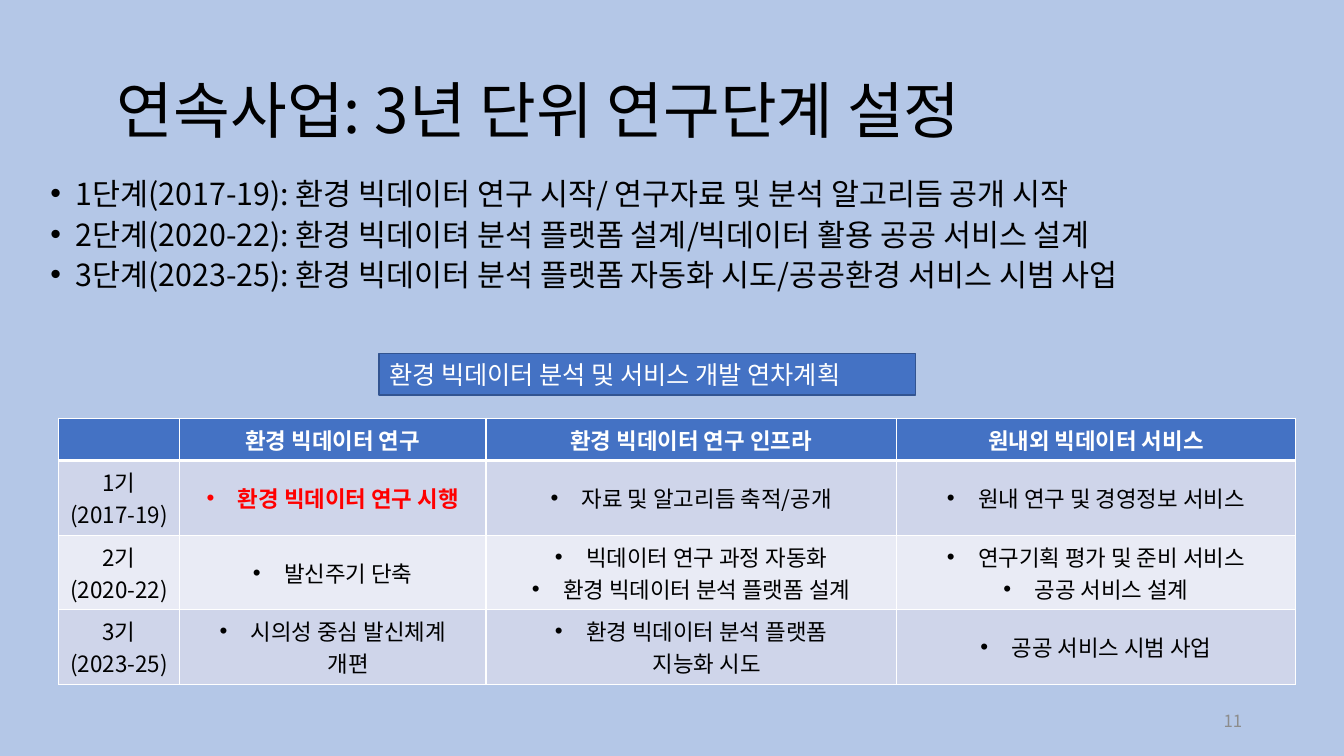
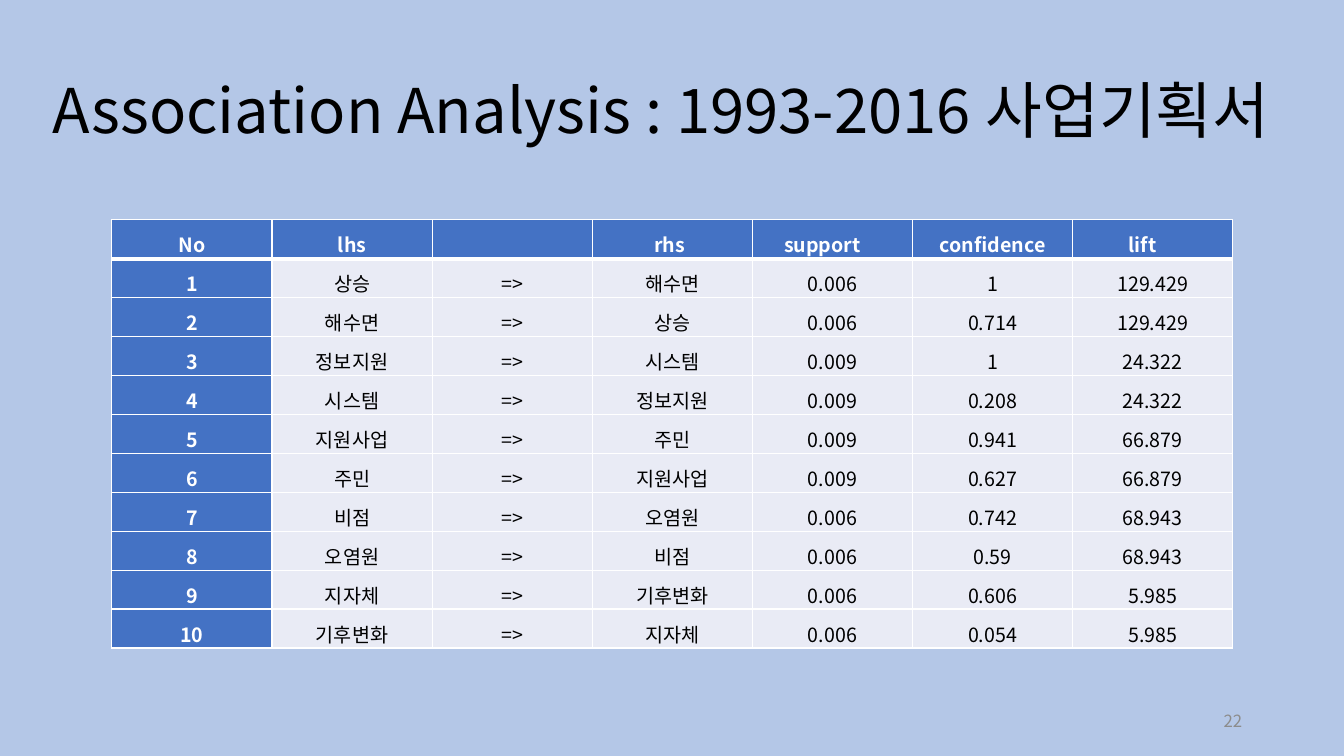
from copy import deepcopy
from dataclasses import dataclass

from lxml import etree
from pptx import Presentation
from pptx.dml.color import RGBColor
from pptx.enum.shapes import MSO_SHAPE
from pptx.enum.text import MSO_ANCHOR, MSO_AUTO_SIZE, PP_ALIGN
from pptx.oxml.ns import qn
from pptx.util import Pt

RECT = MSO_SHAPE.RECTANGLE
MID, BASE = MSO_ANCHOR.MIDDLE, MSO_ANCHOR.BOTTOM
FIXED = MSO_AUTO_SIZE.NONE
LEFT, MIDDLE, RIGHT, FULL = PP_ALIGN.LEFT, PP_ALIGN.CENTER, PP_ALIGN.RIGHT, PP_ALIGN.JUSTIFY
SCALE = 9144
TITLE_ONLY = 5


@dataclass(frozen=True)
class Theme:
    font: str = "Noto Sans CJK KR"
    back: str = "B4C7E7"
    blue: str = "4472C4"
    edge: str = "325491"
    dark: str = "CFD5EA"
    pale: str = "E9EBF5"
    white: str = "FFFFFF"
    black: str = "000000"
    red: str = "FF0000"
    gray: str = "8C8C8C"
    title: float = 44
    body: float = 21.7
    label: float = 18
    plan: float = 16
    rule: float = 14
    foot: float = 12


THEME = Theme()

GOALS = [
    "1단계(2017-19): 환경 빅데이터 연구 시작/ 연구자료 및 분석 알고리듬 공개 시작",
    "2단계(2020-22): 환경 빅데이텨 분석 플랫폼 설계/빅데이터 활용 공공 서비스 설계",
    "3단계(2023-25): 환경 빅데이터 분석 플랫폼 자동화 시도/공공환경 서비스 시범 사업",
]
PLAN = [
    [[], ["환경 빅데이터 연구"], ["환경 빅데이터 연구 인프라"], ["원내외 빅데이터 서비스"]],
    [["1기", "(2017-19)"], ["환경 빅데이터 연구 시행"],
     ["자료 및 알고리듬 축적/공개"], ["원내 연구 및 경영정보 서비스"]],
    [["2기", "(2020-22)"], ["발신주기 단축"],
     ["빅데이터 연구 과정 자동화", "환경 빅데이터 분석 플랫폼 설계"],
     ["연구기획 평가 및 준비 서비스", "공공 서비스 설계"]],
    [["3기", "(2023-25)"], ["시의성 중심 발신체계\n개편"],
     ["환경 빅데이터 분석 플랫폼\n지능화 시도"], ["공공 서비스 시범 사업"]],
]
HEADS = ["No", "lhs", "", "rhs", "support", "confidence", "lift"]
HEAD_PADS = {"rhs": 5, "support": 20, "lift": 20}
RULES = [
    ("상승", "해수면", "0.006", "1", "129.429"),
    ("해수면", "상승", "0.006", "0.714", "129.429"),
    ("정보지원", "시스템", "0.009", "1", "24.322"),
    ("시스템", "정보지원", "0.009", "0.208", "24.322"),
    ("지원사업", "주민", "0.009", "0.941", "66.879"),
    ("주민", "지원사업", "0.009", "0.627", "66.879"),
    ("비점", "오염원", "0.006", "0.742", "68.943"),
    ("오염원", "비점", "0.006", "0.59", "68.943"),
    ("지자체", "기후변화", "0.006", "0.606", "5.985"),
    ("기후변화", "지자체", "0.006", "0.054", "5.985"),
]


def px(num):
    return round(num * SCALE)


def tint(name):
    return RGBColor.from_string(name)


def apply(thing, values):
    for key, value in values.items():
        setattr(thing, key, value)


def place(shape, box):
    apply(shape, dict(zip(("left", "top", "width", "height"), map(px, box))))


def node(parent, tag, **attrs):
    return etree.SubElement(parent, qn(tag), attrs)


def write(frame, lines, size, color=THEME.black, bold=False, dent=0, gap=0, **form):
    for num, line in enumerate(lines or [""]):
        para = frame.add_paragraph() if num else frame.paragraphs[0]
        para.text = line.replace("\n", "\v")
        if dent:
            props = para._p.get_or_add_pPr()
            props.set("marL", str(px(dent)))
            props.set("indent", str(-px(dent)))
            node(props, "a:buFont", typeface="Arial")
            node(props, "a:buChar", char="•")
        apply(para, form)
        if num and gap:
            para.space_before = Pt(gap)
        for run in para.runs:
            apply(run.font, {"size": Pt(size), "bold": bold, "name": THEME.font})
            run.font.color.rgb = tint(color)
            node(run.font._element, "a:ea", typeface=THEME.font)
        for gap_mark in para._p.findall(qn("a:br")):
            gap_mark.insert(0, deepcopy(para.runs[0].font._element))
        node(para._p, "a:endParaRPr", sz=str(round(size * 100)))


def text(slide, box, lines, frame_form, **form):
    shape = slide.shapes.add_textbox(*map(px, box))
    shape.text_frame.word_wrap = True
    apply(shape.text_frame, frame_form)
    write(shape.text_frame, lines, **form)


def start(deck, box, title, page):
    slide = deck.slides.add_slide(deck.slide_layouts[TITLE_ONLY])
    head = slide.shapes.title
    place(head, box)
    apply(head.text_frame, {"word_wrap": True, "auto_size": FIXED,
                            "vertical_anchor": MID, "margin_left": px(24)})
    write(head.text_frame, [title], THEME.title, alignment=LEFT, line_spacing=0.9)
    text(slide, (942, 695, 300, 40), [str(page)], {"vertical_anchor": MID},
         size=THEME.foot, color=THEME.gray, alignment=RIGHT)
    return slide


def border(cell, row):
    props = cell._tc.get_or_add_tcPr()
    wide = {"L": 1, "R": 1, "T": 3 if row == 1 else 1, "B": 1 if row else 3}
    for side, width in wide.items():
        line = node(props, f"a:ln{side}", w=str(Pt(width)))
        node(node(line, "a:solidFill"), "a:srgbClr", val=THEME.white)


def grid(slide, box, cols, rows, fill):
    left, top, width, height = map(px, box)
    table = slide.shapes.add_table(len(rows), len(cols), left, top, width, height).table
    table.horz_banding = False
    for col, part in zip(table.columns, cols):
        col.width = round(width * part / sum(cols))
    for row, part in zip(table.rows, rows):
        row.height = round(height * part / sum(rows))
    for row in range(len(rows)):
        for col in range(len(cols)):
            cell = table.cell(row, col)
            border(cell, row)
            back, form, cell_form, lines = fill(row, col)
            cell.fill.solid()
            cell.fill.fore_color.rgb = tint(back)
            apply(cell, cell_form)
            write(cell.text_frame, lines, alignment=MIDDLE, **form)


def plan_cell(row, col):
    form = {"size": THEME.plan}
    back = THEME.dark if row % 2 else THEME.pale
    if row == 0:
        back = THEME.blue
        form.update(color=THEME.white, bold=True)
    elif col:
        form.update(dent=31)
        if (row, col) == (1, 1):
            form.update(color=THEME.red, bold=True)
    return back, form, {"vertical_anchor": MID}, PLAN[row][col]


def rule_cell(row, col):
    form = {"size": THEME.rule}
    back = THEME.pale
    if row == 0 or col == 0:
        back = THEME.blue
        form.update(color=THEME.white, bold=True)
    if row:
        lhs, *rest = RULES[row - 1]
        word, pad = [str(row), lhs, "=>", *rest][col], 0
    else:
        word = HEADS[col]
        pad = HEAD_PADS.get(word, 0)
    cell_form = {"vertical_anchor": BASE, "margin_left": px(1), "margin_top": px(1),
                 "margin_right": px(1 + pad), "margin_bottom": 0}
    return back, form, cell_form, [word]


def banner(slide, box, line):
    shape = slide.shapes.add_shape(RECT, *map(px, box))
    shape.shadow.inherit = False
    shape.fill.solid()
    shape.fill.fore_color.rgb = tint(THEME.blue)
    shape.line.color.rgb = tint(THEME.edge)
    shape.line.width = Pt(1)
    shape.text_frame.vertical_anchor = MID
    write(shape.text_frame, [line], THEME.label, THEME.white, alignment=LEFT)


def plan_slide(deck):
    slide = start(deck, (92, 40, 1150, 145), "연속사업: 3년 단위 연구단계 설정", 11)
    text(slide, (40, 173, 1245, 172), GOALS,
         {"margin_top": px(8), "margin_bottom": px(8)},
         size=THEME.body, dent=25, gap=8, alignment=FULL, line_spacing=0.8)
    grid(slide, (58, 415, 1227, 264), (120, 304, 407, 396), (42, 74, 74, 74), plan_cell)
    banner(slide, (376, 351, 532, 41), "환경 빅데이터 분석 및 서비스 개발 연차계획")


def rule_slide(deck):
    slide = start(deck, (28, 40, 1276, 145),
                  "Association Analysis : 1993-2016 사업기획서", 22)
    grid(slide, (111, 218, 1112, 425), [1] * len(HEADS), [1] * (len(RULES) + 1), rule_cell)


def main():
    deck = Presentation()
    apply(deck, {"slide_width": px(1333), "slide_height": px(750)})
    back = deck.slide_master.background.fill
    back.solid()
    back.fore_color.rgb = tint(THEME.back)
    plan_slide(deck)
    rule_slide(deck)
    deck.save("out.pptx")


if __name__ == "__main__":
    main()
